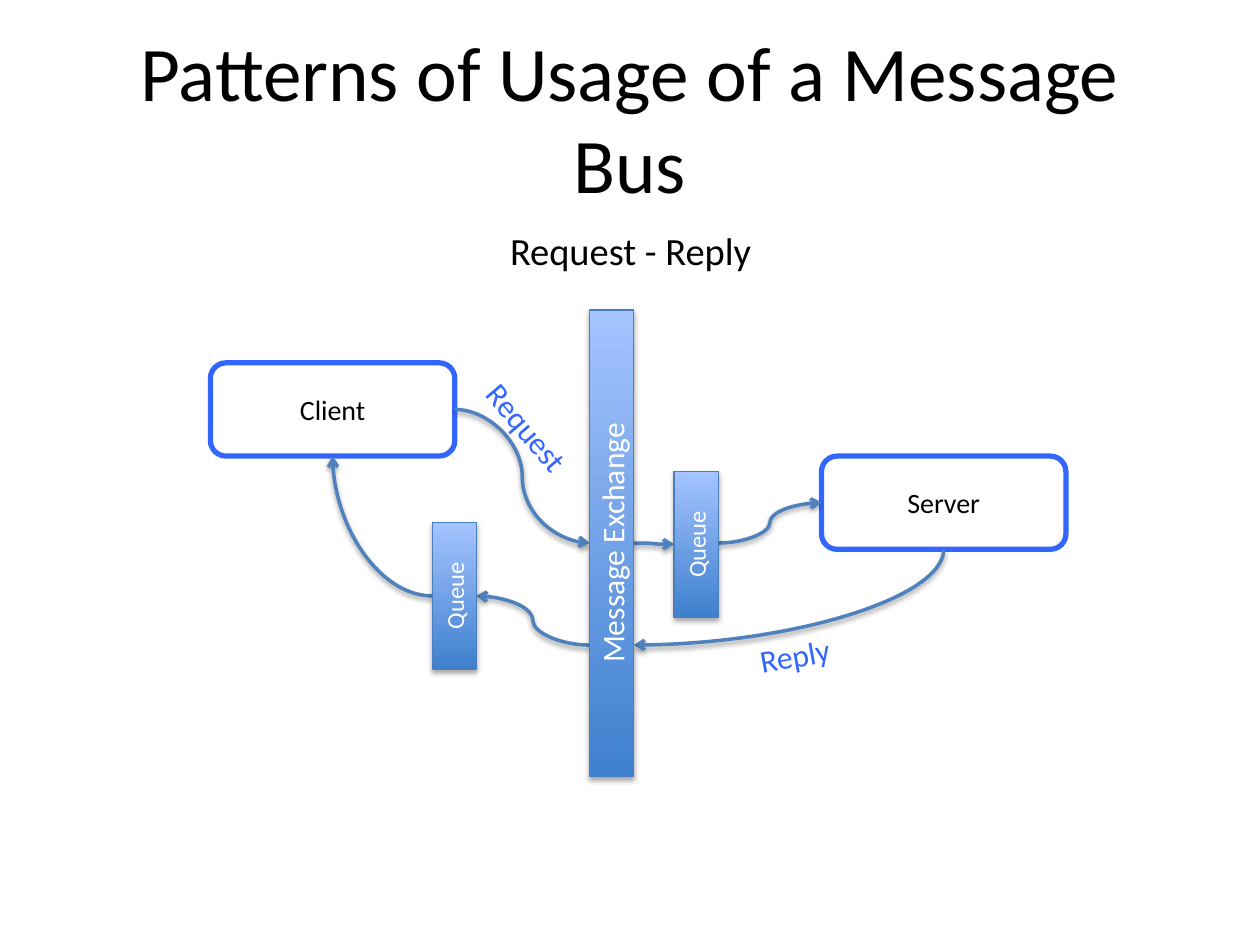
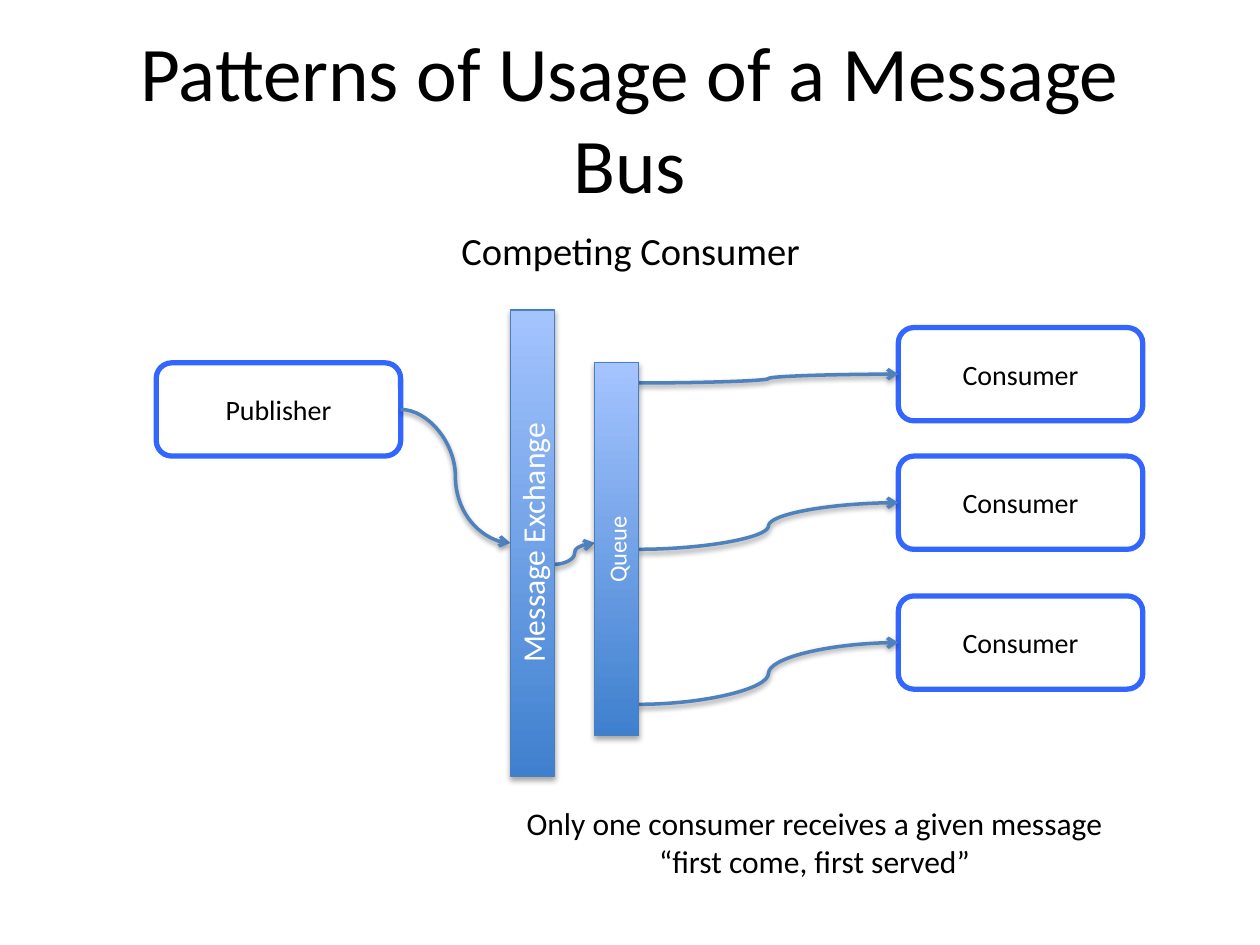
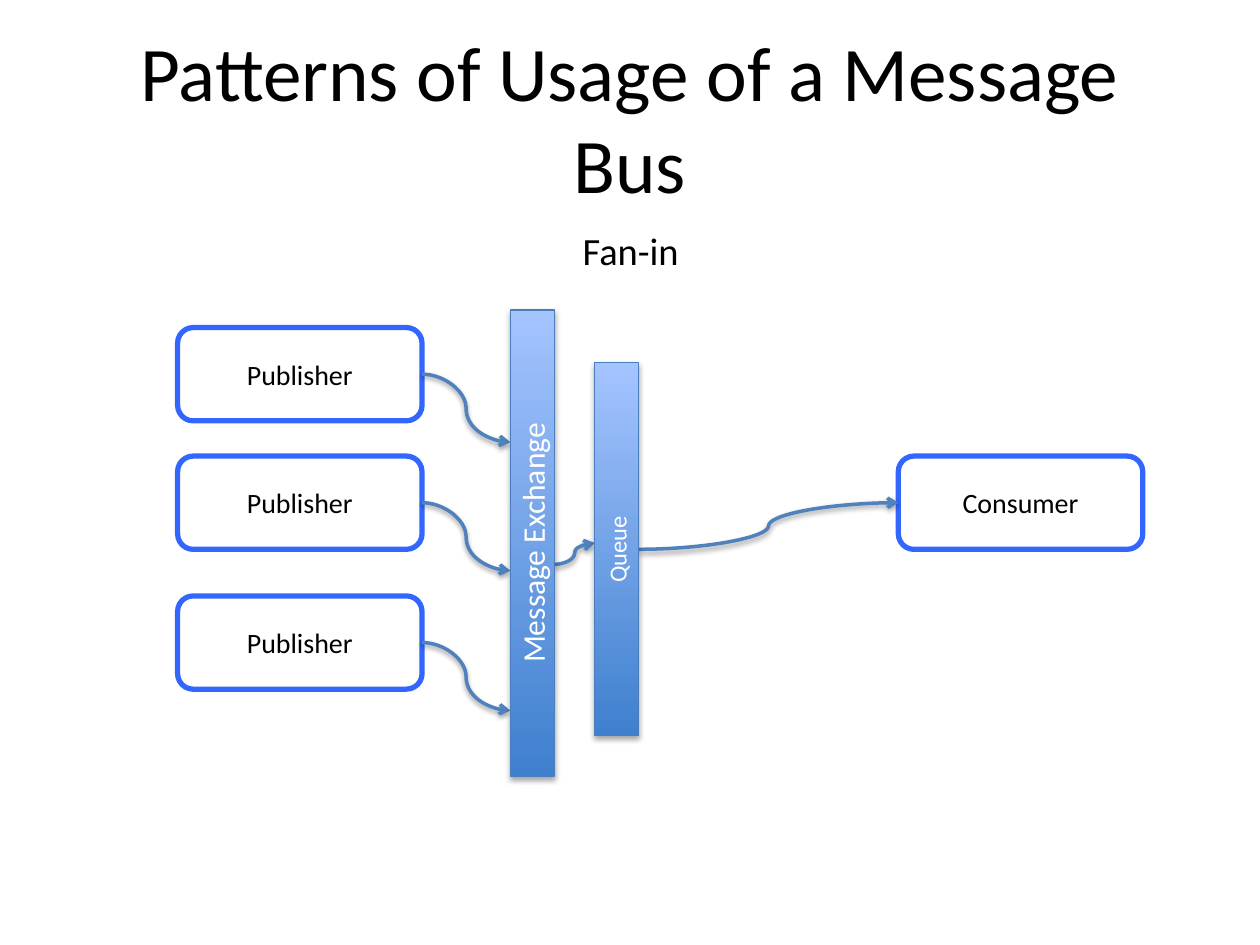
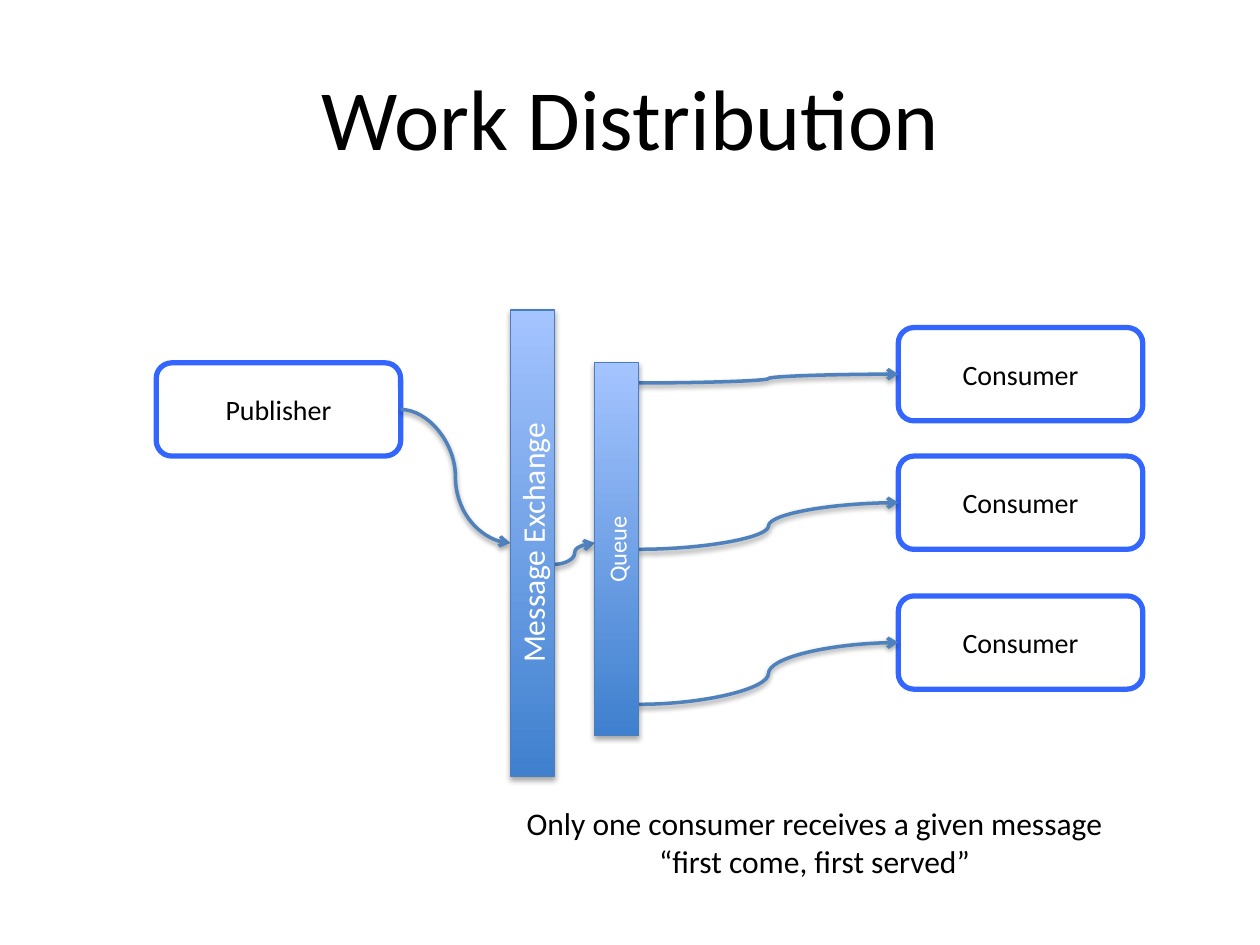
from lxml import etree
from pptx import Presentation
from pptx.dml.color import RGBColor
from pptx.enum.shapes import MSO_CONNECTOR, MSO_SHAPE
from pptx.enum.text import MSO_ANCHOR, MSO_AUTO_SIZE, PP_ALIGN
from pptx.oxml.ns import qn
from pptx.util import Inches, Pt

CENTER, LEFT = PP_ALIGN.CENTER, PP_ALIGN.LEFT
MIDDLE = MSO_ANCHOR.MIDDLE
FIT_SHAPE, NO_FIT = MSO_AUTO_SIZE.SHAPE_TO_FIT_TEXT, MSO_AUTO_SIZE.NONE
ROUNDED, RECT = MSO_SHAPE.ROUNDED_RECTANGLE, MSO_SHAPE.RECTANGLE
CURVE = MSO_CONNECTOR.CURVE

FONT = "Calibri"
BLACK = RGBColor(0x00, 0x00, 0x00)
WHITE = RGBColor(0xFF, 0xFF, 0xFF)
BLUE = RGBColor(0x33, 0x66, 0xFF)
BAR_DARK = RGBColor(0x3F, 0x80, 0xCE)
BAR_LIGHT = RGBColor(0xA4, 0xC4, 0xFF)
BAR_EDGE = RGBColor(0x4B, 0x7E, 0xBC)
ARROW = RGBColor(0x4F, 0x81, 0xBD)

# Grid in inches: boxes, bars, and the rows and columns they stand on
BOX_W, BOX_H = 1.94, 0.74
BAR_W = 0.35
ROWS = [2.6, 3.62, 4.73]
PUB_Y = 2.88
BUS_Y, BUS_H = 2.46, 3.7
BUS_MID = BUS_Y + BUS_H / 2
BUS_X, QUEUE_X = 4.05, 4.72
QUEUE_Y, QUEUE_H = 2.88, 2.96
QUEUE_R = QUEUE_X + BAR_W
QUEUE_MID = QUEUE_Y + QUEUE_H / 2
PUB_X, FAN_X, CONSUMER_X = 1.24, 1.41, 7.13
MID = BOX_H / 2

# Request-reply places
CLIENT_X, SERVER_X = 1.67, 6.52
RR_BUS_X, REPLY_Q_X, REQUEST_Q_X = 4.68, 3.43, 5.35
REPLY_Q_Y, REQUEST_Q_Y, SHORT_H = 4.15, 3.74, 1.16
REPLY_Q_MID = REPLY_Q_Y + SHORT_H / 2
REPLY_Y = 5.12

# Arrow routes: S bend, corner leaving sideways, corner leaving downwards
BEND, SIDE, DOWN = "bend", "side", "down"

# Boxes: text, x, y.  Bars: text, size, x, y, height.
# Arrows: route, x1, y1, x2, y2.  Labels: lines, colour, align, x, y, w, h, turn.
bus_and_queue = [("Message Exchange", 18, BUS_X, BUS_Y, BUS_H),
                 ("Queue", 14, QUEUE_X, QUEUE_Y, QUEUE_H)]
bus_to_queue = (BEND, BUS_X + BAR_W, 4.48, QUEUE_X, BUS_MID)

request_reply = {
    "boxes": [("Client", CLIENT_X, PUB_Y), ("Server", SERVER_X, ROWS[1])],
    "bars": [("Queue", 14, REPLY_Q_X, REPLY_Q_Y, SHORT_H),
             ("Message Exchange", 18, RR_BUS_X, BUS_Y, BUS_H),
             ("Queue", 14, REQUEST_Q_X, REQUEST_Q_Y, SHORT_H)],
    "arrows": [
        (BEND, CLIENT_X + BOX_W, PUB_Y + MID, RR_BUS_X, BUS_MID),
        (BEND, RR_BUS_X + BAR_W, BUS_MID, REQUEST_Q_X, REQUEST_Q_Y + SHORT_H / 2),
        (BEND, REQUEST_Q_X + BAR_W, BUS_MID, SERVER_X, ROWS[1] + MID),
        (DOWN, SERVER_X + BOX_W / 2, ROWS[1] + BOX_H, RR_BUS_X + BAR_W, REPLY_Y),
        (BEND, RR_BUS_X, REPLY_Y, REPLY_Q_X + BAR_W, REPLY_Q_MID),
        (SIDE, REPLY_Q_X, REPLY_Q_MID, CLIENT_X + BOX_W / 2, PUB_Y + BOX_H)],
    "labels": [(["Request"], BLUE, LEFT, 3.67, 3.2, 1.04, 0.4, 49.8),
               (["Reply"], BLUE, LEFT, 5.93, 5, 0.77, 0.4, 349.7)],
}
competing = {
    "boxes": [("Publisher", PUB_X, PUB_Y)]
             + [("Consumer", CONSUMER_X, y) for y in ROWS],
    "bars": bus_and_queue,
    "arrows": [(BEND, PUB_X + BOX_W, PUB_Y + MID, BUS_X, BUS_MID), bus_to_queue]
              + [(BEND, QUEUE_R, start, CONSUMER_X, y + MID)
                 for start, y in zip([3.04, QUEUE_MID, 5.59], ROWS)],
    "labels": [(["Only one consumer receives a given message",
                 "“first come, first served”"],
                BLACK, CENTER, 4.05, 6.33, 4.83, 0.71, 0)],
}
fan_in = {
    "boxes": [("Publisher", FAN_X, y) for y in ROWS]
             + [("Consumer", CONSUMER_X, ROWS[1])],
    "bars": bus_and_queue,
    "arrows": [(BEND, FAN_X + BOX_W, y + MID, BUS_X, y + MID + 0.54) for y in ROWS]
              + [bus_to_queue,
                 (BEND, QUEUE_R, QUEUE_MID, CONSUMER_X, ROWS[1] + MID)],
    "labels": [],
}
PATTERNS = "Patterns of Usage of a Message Bus"
slides = [
    (PATTERNS, 44.1, "Request - Reply", request_reply),
    (PATTERNS, 44.1, "Competing Consumer", competing),
    (PATTERNS, 44.1, "Fan-in", fan_in),
    ("Work Distribution", 49, None, competing),
]


def write(sp, lines, size, color, align=CENTER):
    tf = sp.text_frame
    for i, line in enumerate(lines):
        p = tf.paragraphs[0] if i == 0 else tf.add_paragraph()
        p.alignment = align
        r = p.add_run()
        r.text = line
        r.font.name, r.font.size = FONT, Pt(size)
        r.font.color.rgb = color
    return tf


def add_shadow(sp, opacity, distance):
    effects = etree.SubElement(sp._element.spPr, qn("a:effectLst"))
    shadow = etree.SubElement(effects, qn("a:outerShdw"), blurRad=str(Pt(3.1)),
                              dist=str(Pt(distance)), dir="5400000", rotWithShape="0")
    black = etree.SubElement(shadow, qn("a:srgbClr"), val=str(BLACK))
    etree.SubElement(black, qn("a:alpha"), val=str(opacity * 1000))


prs = Presentation()
prs.slide_width, prs.slide_height = Inches(10), Inches(7.5)

for title, title_size, subtitle, diagram in slides:
    s = prs.slides.add_slide(prs.slide_layouts[5])

    # Title and subtitle
    sp = s.shapes.title
    sp.left, sp.top, sp.width, sp.height = map(Inches, (0.5, 0.3, 9, 1.25))
    tf = write(sp, [title], title_size, BLACK)
    tf.vertical_anchor, tf.auto_size = MIDDLE, NO_FIT
    if subtitle:
        sp = s.shapes.add_textbox(*map(Inches, (2.24, 1.75, 5.53, 0.54)))
        tf = write(sp, [subtitle], 22, BLACK)
        tf.word_wrap = True
        tf.paragraphs[0].space_before = Pt(4.4)

    # Clients, servers, publishers and consumers
    for text, x, y in diagram["boxes"]:
        sp = s.shapes.add_shape(ROUNDED, *map(Inches, (x, y, BOX_W, BOX_H)))
        sp.fill.solid()
        sp.fill.fore_color.rgb = WHITE
        sp.line.color.rgb, sp.line.width = BLUE, Pt(3)
        sp.shadow.inherit = False
        write(sp, [text], 16, BLACK).vertical_anchor = MIDDLE

    # Curved arrows
    for route, x1, y1, x2, y2 in diagram["arrows"]:
        if route == DOWN:  # lay the corner out sideways, then turn it
            cx, cy, w, h = (x1 + x2) / 2, (y1 + y2) / 2, abs(y2 - y1), abs(x2 - x1)
            x1, y1, x2, y2 = cx - w / 2, cy - h / 2, cx + w / 2, cy + h / 2
        sp = s.shapes.add_connector(CURVE, *map(Inches, (x1, y1, x2, y2)))
        spPr = sp._element.spPr
        if route != BEND:
            spPr.find(qn("a:prstGeom")).set("prst", "curvedConnector2")
        if route == DOWN:
            spPr.find(qn("a:xfrm")).set("rot", "5400000")
        sp.line.color.rgb, sp.line.width = ARROW, Pt(2)
        etree.SubElement(spPr.find(qn("a:ln")), qn("a:tailEnd"), type="arrow")
        add_shadow(sp, 38, 1.6)

    # Message exchange and queues
    for text, size, x, y, height in diagram["bars"]:
        sp = s.shapes.add_shape(RECT, *map(Inches, (x, y, BAR_W, height)))
        sp.fill.gradient()
        sp.fill.gradient_angle = 90
        for stop, color in zip(sp.fill.gradient_stops, (BAR_DARK, BAR_LIGHT)):
            stop.color.rgb = color
        sp.line.color.rgb, sp.line.width = BAR_EDGE, Pt(0.75)
        add_shadow(sp, 35, 1.8)
        tf = write(sp, [text], size, WHITE)
        tf.vertical_anchor = MIDDLE
        tf._txBody.bodyPr.set("vert", "vert270")

    # Arrow labels and remarks
    for lines, color, align, x, y, w, h, turn in diagram["labels"]:
        sp = s.shapes.add_textbox(*map(Inches, (x, y, w, h)))
        sp.rotation = turn
        tf = write(sp, lines, 18, color, align)
        tf.word_wrap, tf.auto_size = False, FIT_SHAPE

prs.save("out.pptx")
